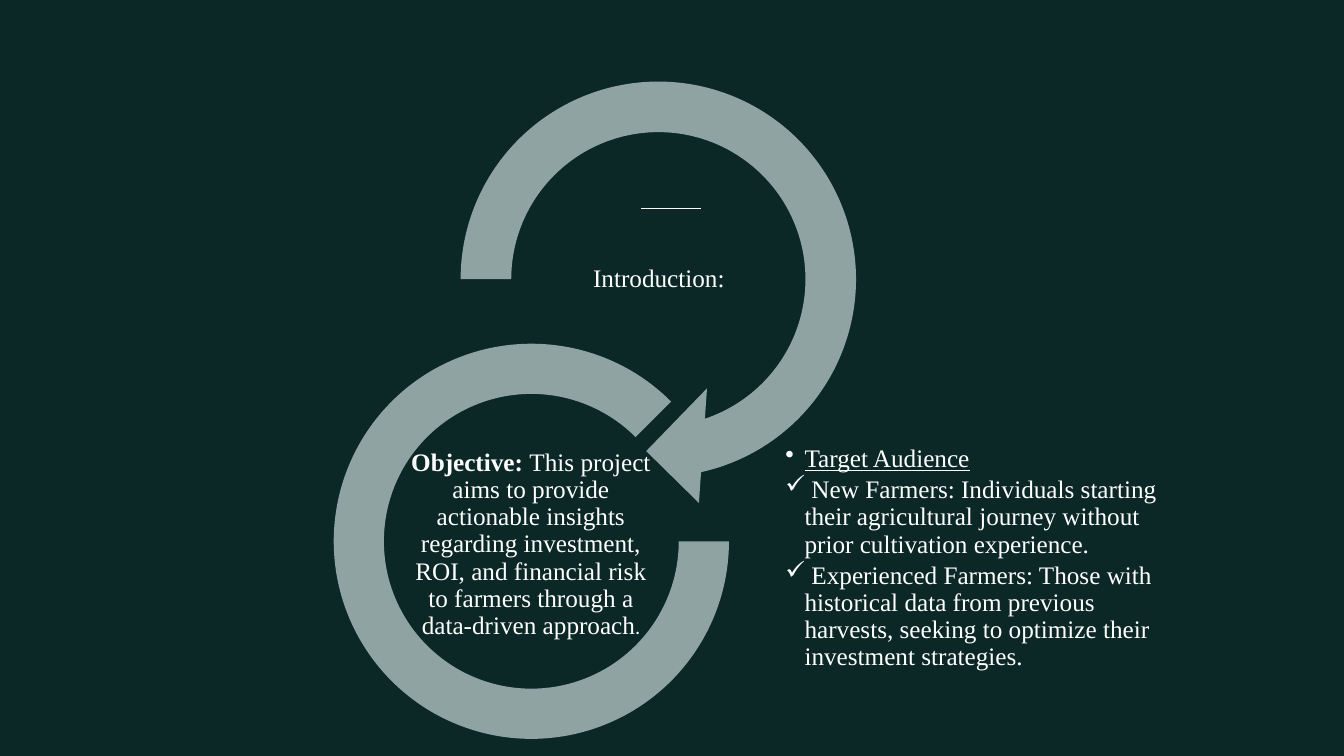
from dataclasses import dataclass
from lxml import etree
from pptx import Presentation
from pptx import util as u
from pptx.dml import color
from pptx.enum import shapes, text
from pptx.oxml import ns

BACKGROUND, RING, WHITE = "0B2827", "8FA3A3", "FFFFFF"
SERIF, SANS = "Times New Roman", "Lato"
BULLET_INDENT = u.Inches(0.19)


@dataclass
class Ring:
    preset: int
    left: float
    top: float
    size: float
    adjustments: tuple


@dataclass
class Run:
    words: str
    bold: bool = False
    underline: bool = False
    size: int = 18
    font: str = SERIF


@dataclass
class Para:
    runs: list
    bullet: str = ""


@dataclass
class Label:
    left: float
    top: float
    width: float
    height: float
    paras: list


RINGS = [
    Ring(shapes.MSO_SHAPE.CIRCULAR_ARROW, 4.25, 0.49, 4.56,
         (0.11, 11.423, 45, 108, 0.125)),
    Ring(shapes.MSO_SHAPE.BLOCK_ARC, 3.31, 3.41, 3.92, (0, 189, 0.127)),
]

LABELS = [
    Label(5.26, 2.14, 2.55, 1.27, [Para([Run("Introduction:")])]),
    Label(7.78, 3.75, 4.02, 3.58, [
        Para([Run("Target Audience", underline=True)], "•"),
        Para([Run(" New Farmers: Individuals starting their agricultural "
                  "journey without prior cultivation experience.")], "✓"),
        Para([Run(" Experienced Farmers: Those with historical data from "
                  "previous harvests, seeking to optimize their investment "
                  "strategies.")], "✓"),
    ]),
    Label(3.99, 4.77, 2.55, 1.27, [Para([
        Run("Objective: ", bold=True),
        Run("This project aims to provide actionable insights regarding "
            "investment, ROI, and financial risk to farmers through a "
            "data-driven approach"),
        Run(".", size=14, font=SANS),
    ])]),
]


def rgb(value: str) -> color.RGBColor:
    return color.RGBColor.from_string(value)


def add_ring(s, ring: Ring) -> None:
    sp = s.shapes.add_shape(ring.preset, u.Inches(ring.left), u.Inches(ring.top),
                            u.Inches(ring.size), u.Inches(ring.size))
    for i, value in enumerate(ring.adjustments):
        sp.adjustments[i] = value
    sp.shadow.inherit = False
    sp.fill.solid()
    sp.fill.fore_color.rgb = rgb(RING)
    sp.line.fill.background()


def set_bullet(p, char: str) -> None:
    p.level = 1
    pPr = p._p.get_or_add_pPr()
    pPr.set("marL", str(BULLET_INDENT))
    pPr.set("indent", str(-BULLET_INDENT))
    etree.SubElement(pPr, ns.qn("a:buChar")).set("char", char)


def add_label(s, label: Label) -> None:
    sp = s.shapes.add_textbox(u.Inches(label.left), u.Inches(label.top),
                              u.Inches(label.width), u.Inches(label.height))
    tf = sp.text_frame
    tf.word_wrap = True
    tf.vertical_anchor = text.MSO_ANCHOR.MIDDLE
    tf.margin_left = tf.margin_right = u.Inches(0.01)
    tf.margin_top = tf.margin_bottom = u.Inches(0.01)
    for i, para in enumerate(label.paras):
        p = tf.add_paragraph() if i else tf.paragraphs[0]
        p.line_spacing = 0.9
        p.space_after = u.Pt(2.7 if para.bullet else 6.3)
        if para.bullet:
            p.alignment = text.PP_ALIGN.LEFT
            set_bullet(p, para.bullet)
        else:
            p.alignment = text.PP_ALIGN.CENTER
        for run in para.runs:
            r = p.add_run()
            r.text = run.words
            r.font.name = run.font
            r.font.size = u.Pt(run.size)
            r.font.bold = run.bold
            r.font.underline = run.underline
            r.font.color.rgb = rgb(WHITE)


def add_rule(s, left: float, right: float, y: float) -> None:
    line = s.shapes.add_connector(shapes.MSO_CONNECTOR.STRAIGHT, u.Inches(left),
                                  u.Inches(y), u.Inches(right), u.Inches(y))
    line.line.color.rgb = rgb(WHITE)
    line.line.width = u.Pt(1)
    etree.SubElement(line._element.spPr, ns.qn("a:effectLst"))


def main() -> None:
    prs = Presentation()
    prs.slide_width, prs.slide_height = u.Inches(13.33), u.Inches(7.5)
    s = prs.slides.add_slide(prs.slide_layouts[6])
    s.background.fill.solid()
    s.background.fill.fore_color.rgb = rgb(BACKGROUND)

    # Short rule above the introduction
    add_rule(s, 6.36, 6.95, 2.07)

    # Interlocking rings, then the words in and beside them
    for ring in RINGS:
        add_ring(s, ring)
    for label in LABELS:
        add_label(s, label)

    prs.save("out.pptx")


if __name__ == "__main__":
    main()
